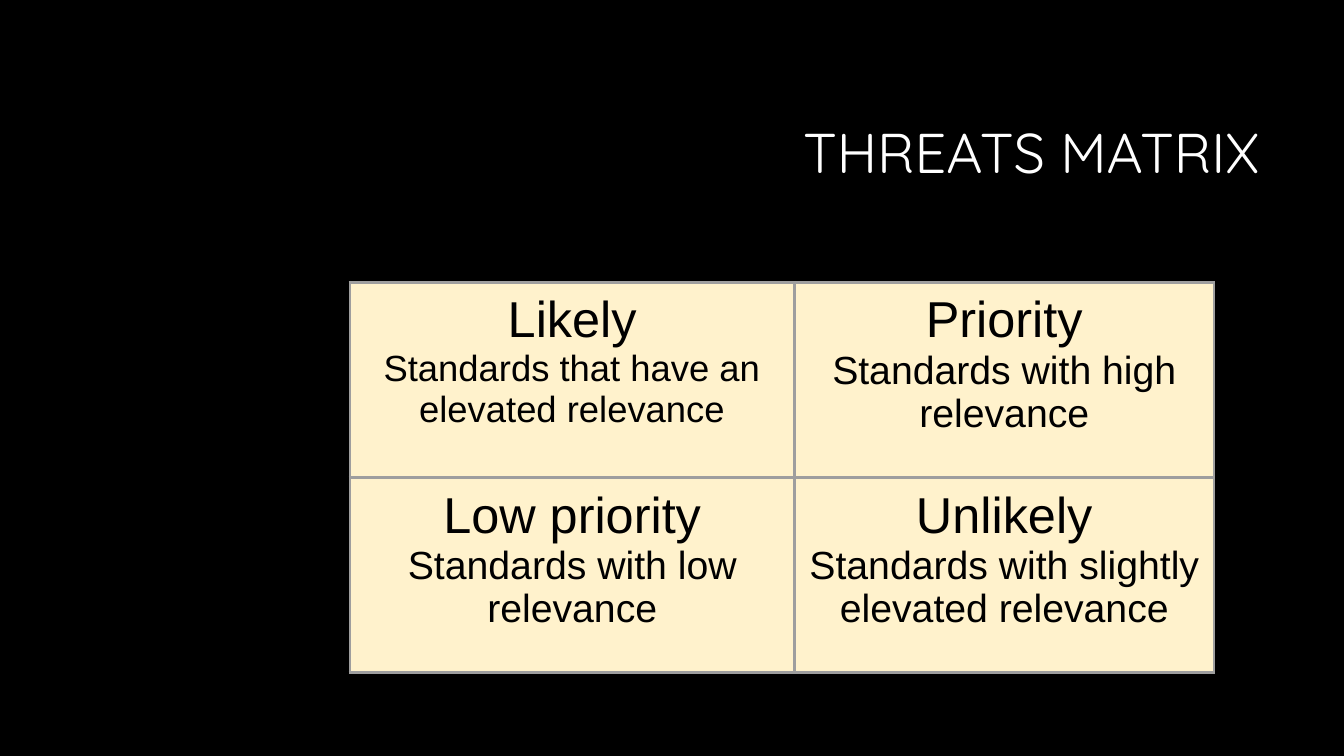
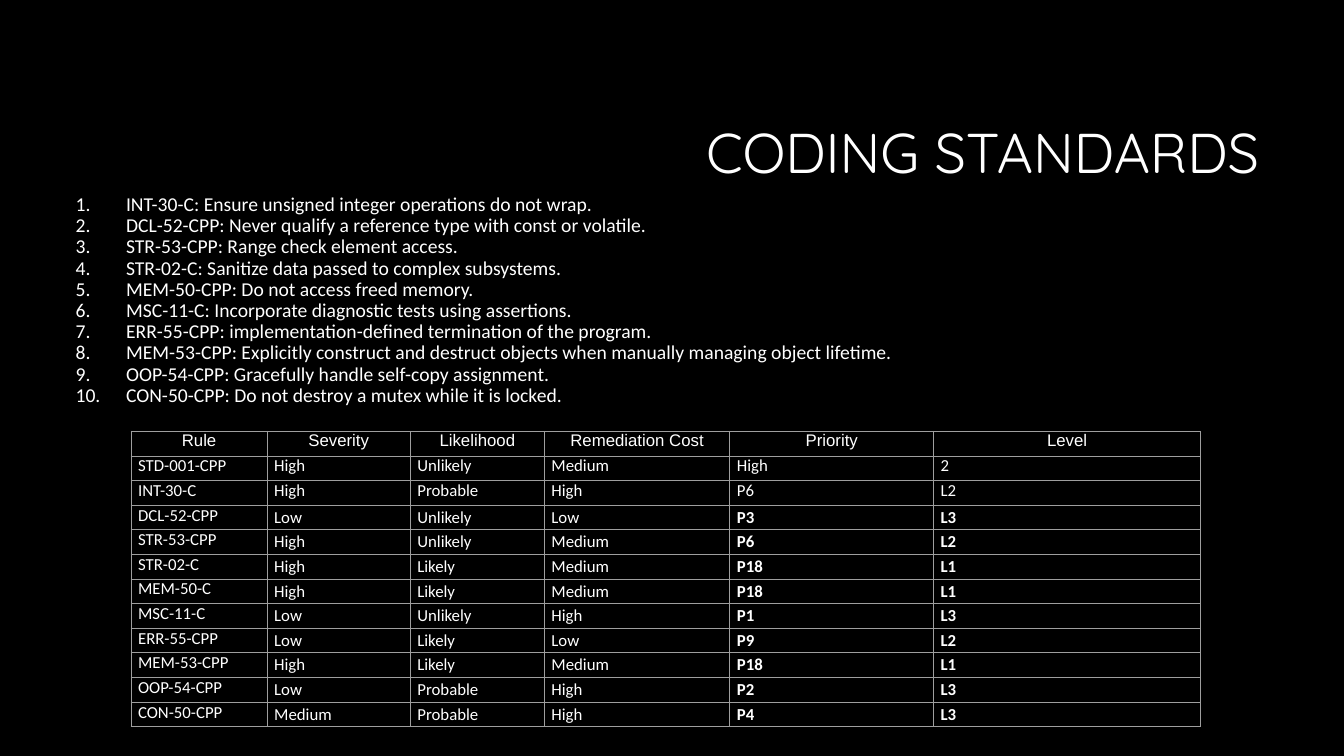
"""Build the threats matrix and coding standards slides."""
from dataclasses import dataclass
from typing import Optional

from lxml import etree
from pptx import Presentation
from pptx.dml.color import RGBColor
from pptx.enum.text import MSO_ANCHOR, MSO_AUTO_SIZE, PP_ALIGN
from pptx.oxml.ns import qn
from pptx.util import Inches, Pt

LEFT, CENTER, RIGHT = PP_ALIGN.LEFT, PP_ALIGN.CENTER, PP_ALIGN.RIGHT
TOP, MIDDLE = MSO_ANCHOR.TOP, MSO_ANCHOR.MIDDLE
NO_AUTOFIT = MSO_AUTO_SIZE.NONE

BLACK, WHITE, CREAM, GRAY = "000000", "FFFFFF", "FFF2CC", "9E9E9E"
TITLE_FONT, TABLE_FONT, BODY_FONT = "Quicksand", "Arial", "Calibri"
TITLE_AND_CONTENT, TITLE_ONLY = 1, 5


@dataclass
class Area:
    left: float
    top: float
    width: float
    height: float


@dataclass
class Quadrant:
    heading: str
    detail: str
    detail_size: int = 28


TITLE_AREA = Area(3.17, 0.84, 9.42, 1.41)
LIST_AREA = Area(0.65, 1.88, 12.36, 2.4)
MATRIX_AREA = Area(3.47, 2.8, 8.57, 3.87)
RATINGS_AREA = Area(1.3, 4.28, 10.61, 2.93)
MATRIX_COLUMNS = [4.41, 4.16]
RATINGS_COLUMNS = [1.35, 1.42, 1.33, 1.84, 2.02, 2.65]

QUADRANTS = [
    [Quadrant("Likely", "Standards that have an elevated relevance", 26),
     Quadrant("Priority", "Standards with high relevance")],
    [Quadrant("Low priority", "Standards with low relevance"),
     Quadrant("Unlikely", "Standards with slightly elevated relevance")],
]

STANDARDS = [
    "INT-30-C: Ensure unsigned integer operations do not wrap.",
    "DCL-52-CPP: Never qualify a reference type with const or volatile.",
    "STR-53-CPP: Range check element access.",
    "STR-02-C: Sanitize data passed to complex subsystems.",
    "MEM-50-CPP: Do not access freed memory.",
    "MSC-11-C: Incorporate diagnostic tests using assertions.",
    "ERR-55-CPP: implementation-defined termination of the program.",
    "MEM-53-CPP: Explicitly construct and destruct objects when manually managing object lifetime.",
    "OOP-54-CPP: Gracefully handle self-copy assignment.",
    "CON-50-CPP: Do not destroy a mutex while it is locked.",
]

RATINGS = [
    ["Rule", "Severity", "Likelihood", "Remediation Cost", "Priority", "Level"],
    ["STD-001-CPP", "High", "Unlikely", "Medium", "High", "2"],
    ["INT-30-C", "High", "Probable", "High", "P6", "L2"],
    ["DCL-52-CPP", "Low", "Unlikely", "Low", "P3", "L3"],
    ["STR-53-CPP", "High", "Unlikely", "Medium", "P6", "L2"],
    ["STR-02-C", "High", "Likely", "Medium", "P18", "L1"],
    ["MEM-50-C", "High", "Likely", "Medium", "P18", "L1"],
    ["MSC-11-C", "Low", "Unlikely", "High", "P1", "L3"],
    ["ERR-55-CPP", "Low", "Likely", "Low", "P9", "L2"],
    ["MEM-53-CPP", "High", "Likely", "Medium", "P18", "L1"],
    ["OOP-54-CPP", "Low", "Probable", "High", "P2", "L3"],
    ["CON-50-CPP", "Medium", "Probable", "High", "P4", "L3"],
]
FIRST_RATED_ROW = 3
FIRST_BOLD_COLUMN = 4


def color(value: str) -> RGBColor:
    return RGBColor.from_string(value)


def write(paragraph, text: str, *, size: float, font: str, ink: str = WHITE,
          align=LEFT, bold: bool = False, spacing: float = 1.0) -> None:
    paragraph.alignment = align
    paragraph.line_spacing = spacing
    paragraph.space_before = paragraph.space_after = Pt(0)
    span = paragraph.add_run()
    span.text = text
    span.font.size = Pt(size)
    span.font.name = font
    span.font.bold = bold
    span.font.color.rgb = color(ink)


def place(box, area: Area, anchor) -> None:
    box.left, box.top = Inches(area.left), Inches(area.top)
    box.width, box.height = Inches(area.width), Inches(area.height)
    frame = box.text_frame
    frame.word_wrap = True
    frame.auto_size = NO_AUTOFIT
    frame.vertical_anchor = anchor


def add_page(deck, layout: int, title: str):
    page = deck.slides.add_slide(deck.slide_layouts[layout])
    box = page.shapes.title
    place(box, TITLE_AREA, MIDDLE)
    write(box.text_frame.paragraphs[0], title, size=40, font=TITLE_FONT,
          align=RIGHT, spacing=0.9)
    return page


def number(paragraph, indent: float) -> None:
    properties = paragraph._p.get_or_add_pPr()
    properties.set("marL", str(Inches(indent)))
    properties.set("indent", str(-Inches(indent)))
    bullet_color = etree.SubElement(properties, qn("a:buClr"))
    etree.SubElement(bullet_color, qn("a:srgbClr"), val=WHITE)
    etree.SubElement(properties, qn("a:buAutoNum"), type="arabicPeriod")


def add_numbered_list(page, items: list[str], area: Area) -> None:
    box = page.placeholders[1]
    place(box, area, TOP)
    frame = box.text_frame
    for index, item in enumerate(items):
        paragraph = frame.add_paragraph() if index else frame.paragraphs[0]
        number(paragraph, 0.5)
        write(paragraph, item, size=14, font=BODY_FONT, spacing=0.9)


def style_cell(cell, *, fill: Optional[str], border: float,
               margins: tuple[float, float]) -> None:
    cell.margin_left = cell.margin_right = Inches(margins[0])
    cell.margin_top = cell.margin_bottom = Inches(margins[1])
    if fill:
        cell.fill.solid()
        cell.fill.fore_color.rgb = color(fill)
    else:
        cell.fill.background()
    properties = cell._tc.get_or_add_tcPr()
    for position, side in enumerate(("lnL", "lnR", "lnT", "lnB")):
        line = etree.Element(qn(f"a:{side}"), w=str(Pt(border)))
        paint = etree.SubElement(line, qn("a:solidFill"))
        etree.SubElement(paint, qn("a:srgbClr"), val=GRAY)
        properties.insert(position, line)


def add_grid(page, area: Area, columns: list[float], row_count: int, *,
             border: float, margins: tuple[float, float],
             fill: Optional[str] = None):
    table = page.shapes.add_table(
        row_count, len(columns), Inches(area.left), Inches(area.top),
        Inches(area.width), Inches(area.height)).table
    table.first_row = table.horz_banding = False
    for column, width in zip(table.columns, columns):
        column.width = Inches(width)
    for row in table.rows:
        row.height = Inches(area.height / row_count)
    for cell in table.iter_cells():
        style_cell(cell, fill=fill, border=border, margins=margins)
    return table


def add_matrix(page) -> None:
    table = add_grid(page, MATRIX_AREA, MATRIX_COLUMNS, len(QUADRANTS),
                     border=2.25, margins=(0.1, 0.1), fill=CREAM)
    for row, quadrants in enumerate(QUADRANTS):
        for column, quadrant in enumerate(quadrants):
            frame = table.cell(row, column).text_frame
            write(frame.paragraphs[0], quadrant.heading, size=36,
                  font=TABLE_FONT, ink=BLACK, align=CENTER)
            write(frame.add_paragraph(), quadrant.detail,
                  size=quadrant.detail_size, font=TABLE_FONT, ink=BLACK,
                  align=CENTER)


def add_ratings(page) -> None:
    table = add_grid(page, RATINGS_AREA, RATINGS_COLUMNS, len(RATINGS),
                     border=0.75, margins=(0.07, 0))
    for row, values in enumerate(RATINGS):
        for column, value in enumerate(values):
            cell = table.cell(row, column)
            rated = row >= FIRST_RATED_ROW
            cell.vertical_anchor = MIDDLE if rated and column else TOP
            write(cell.text_frame.paragraphs[0], value, size=12,
                  font=BODY_FONT if row else TABLE_FONT,
                  align=LEFT if row else CENTER,
                  bold=rated and column >= FIRST_BOLD_COLUMN)


def main() -> None:
    deck = Presentation()
    deck.slide_width, deck.slide_height = Inches(13.33), Inches(7.5)
    backdrop = deck.slide_master.background.fill
    backdrop.solid()
    backdrop.fore_color.rgb = color(BLACK)

    add_matrix(add_page(deck, TITLE_ONLY, "THREATS MATRIX"))

    standards_page = add_page(deck, TITLE_AND_CONTENT, "CODING STANDARDS")
    add_numbered_list(standards_page, STANDARDS, LIST_AREA)
    add_ratings(standards_page)

    deck.save("out.pptx")


if __name__ == "__main__":
    main()
